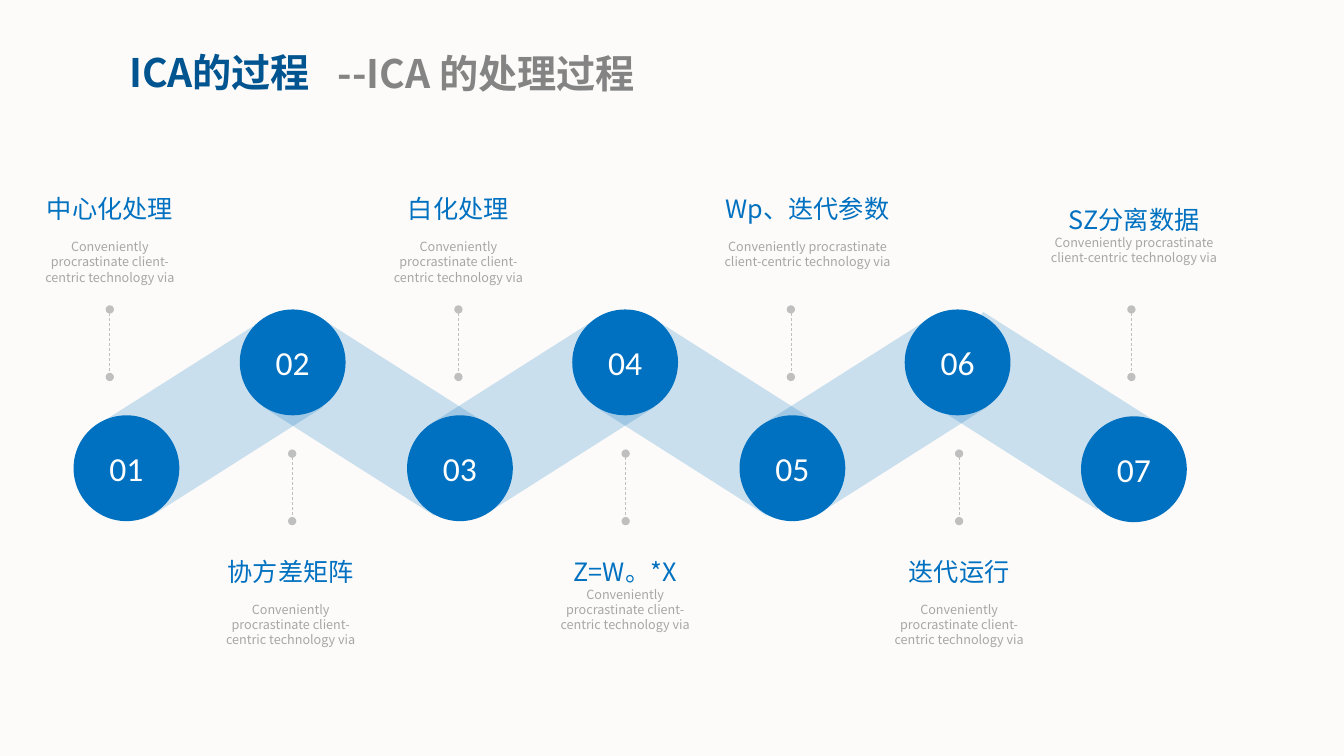
import math

import lxml.etree
import pptx
import pptx.dml.color
import pptx.enum.dml
import pptx.enum.shapes
import pptx.enum.text
import pptx.oxml
import pptx.oxml.ns
import pptx.util

Inches = pptx.util.Inches
Pt = pptx.util.Pt
SHAPES = pptx.enum.shapes.MSO_SHAPE
ALIGN = pptx.enum.text.PP_ALIGN
COLOURS = {"page": "FCFBF9", "blue": "0070C0", "navy": "005490", "grey": "848484",
           "light": "A6A6A6", "line": "BFBFBF", "white": "FFFFFF"}
HEADING_FONT = "Noto Sans CJK SC"
BODY_FONT = "Calibri"
DETAIL = "Conveniently procrastinate client-centric technology via"
DISC = 1.05
BAND_LENGTH = 2.01
BAND_TILT = 57.6
STEPS = [
    {"disc": (0.73, 4.12), "stem": 1.09, "label": (0.27, 1.87, 1.64), "name": "中心化处理", "gap": 11},
    {"disc": (2.38, 3.07), "stem": 2.9, "label": (2.07, 5.47, 1.63), "name": "协方差矩阵", "gap": 11},
    {"disc": (4.04, 4.12), "stem": 4.55, "label": (3.73, 1.87, 1.64), "name": "白化处理", "gap": 11},
    {"disc": (5.68, 3.07), "stem": 6.21, "label": (5.39, 5.47, 1.63), "name": "Z=W。*X", "gap": 0},
    {"disc": (7.34, 4.12), "stem": 7.85, "label": (7.05, 1.87, 1.93), "name": "Wp、迭代参数", "gap": 11},
    {"disc": (8.98, 3.07), "stem": 9.52, "label": (8.7, 5.47, 1.64), "name": "迭代运行", "gap": 11},
    {"disc": (10.73, 4.13), "stem": 11.23, "label": (10.29, 1.98, 1.93), "name": "SZ分离数据", "gap": 0},
]
BANDS = [(1.55, 3.13), (3.22, 3.13), (4.84, 3.13), (6.52, 3.13), (8.14, 3.13), (9.8, 3.07)]


def colour(name):
    """Return the named palette colour."""
    return pptx.dml.color.RGBColor.from_string(COLOURS[name])


def style(para, font, size, shade, bold=False):
    """Set the font of a centred paragraph, East Asian letters included."""
    para.alignment = ALIGN.CENTER
    para.font.name, para.font.size, para.font.bold = font, Pt(size), bold
    para.font.color.rgb = colour(shade)
    properties = para.font._element
    latin = properties.find(pptx.oxml.ns.qn("a:latin"))
    east = pptx.oxml.parse_xml(
        f'<a:ea {pptx.oxml.ns.nsdecls("a")} typeface="{HEADING_FONT}"/>')
    latin.addnext(east)


def paint(shape, shade):
    """Fill a shape flat, without outline or shadow."""
    shape.shadow.inherit = False
    shape.fill.solid()
    shape.fill.fore_color.rgb = colour(shade)
    shape.line.fill.background()


def add_title(page, left, top):
    """Place the page title and the subtitle to its right."""
    title = page.shapes.title
    title.left, title.top = Inches(left), Inches(top)
    title.width, title.height = Inches(2.12), Inches(0.57)
    subtitle = page.shapes.add_textbox(
        Inches(left + 2.08), Inches(top + 0.01), Inches(3.25), Inches(0.57))
    for box, words, shade in ((title, "ICA的过程", "navy"), (subtitle, "--ICA 的处理过程", "grey")):
        frame = box.text_frame
        frame.text = words
        frame.word_wrap = False
        frame.auto_size = pptx.enum.text.MSO_AUTO_SIZE.NONE
        frame.vertical_anchor = pptx.enum.text.MSO_ANCHOR.TOP
        style(frame.paragraphs[0], HEADING_FONT, 28, shade, True)


def add_band(page, left, top, rising):
    """Place one translucent band that links two discs."""
    band = page.shapes.add_shape(
        SHAPES.RECTANGLE, Inches(left), Inches(top), Inches(DISC), Inches(BAND_LENGTH))
    band.rotation = BAND_TILT if rising else 360 - BAND_TILT
    paint(band, "blue")
    shade = band.fill._xPr.find(".//" + pptx.oxml.ns.qn("a:srgbClr"))
    lxml.etree.SubElement(shade, pptx.oxml.ns.qn("a:alpha"), val="20000")


def add_disc(page, left, top, number):
    """Place one numbered disc."""
    disc = page.shapes.add_shape(
        SHAPES.OVAL, Inches(left), Inches(top), Inches(DISC), Inches(DISC))
    paint(disc, "blue")
    disc.text_frame.text = f"{number:02d}"
    style(disc.text_frame.paragraphs[0], BODY_FONT, 24, "white")


def add_stem(page, left, top):
    """Place one dashed upright line with round ends."""
    stem = page.shapes.add_connector(
        pptx.enum.shapes.MSO_CONNECTOR.STRAIGHT,
        Inches(left), Inches(top), Inches(left), Inches(top + 0.67))
    stem.line.color.rgb = colour("line")
    stem.line.width = Pt(0.5)
    stem.line.dash_style = pptx.enum.dml.MSO_LINE.DASH
    outline = stem.line._get_or_add_ln()
    for end in ("a:headEnd", "a:tailEnd"):
        lxml.etree.SubElement(outline, pptx.oxml.ns.qn(end), type="oval")
    lxml.etree.SubElement(stem._element.spPr, pptx.oxml.ns.qn("a:effectLst"))


def add_label(page, left, top, width, name, gap):
    """Place a step name with its detail below."""
    box = page.shapes.add_textbox(Inches(left), Inches(top), Inches(width), Inches(1))
    frame = box.text_frame
    frame.word_wrap = True
    frame.text = name
    style(frame.paragraphs[0], HEADING_FONT, 18, "blue")
    detail = frame.add_paragraph()
    detail.text = DETAIL
    detail.space_before = Pt(gap)
    style(detail, HEADING_FONT, 9, "light")


def add_process(page):
    """Place the zigzag of bands, discs, stems and labels."""
    for index, (left, top) in enumerate(BANDS):
        add_band(page, left, top, index % 2 == 0)
    for index, step in enumerate(STEPS):
        add_disc(page, *step["disc"], index + 1)
        add_stem(page, step["stem"], 4.5 if index % 2 else 3.07)
        add_label(page, *step["label"], step["name"], step["gap"])


def add_down_button(page, left, top, size):
    """Draw a ring with a downward arrow inside it."""
    centre = size / 2

    def circle(radius):
        turns = [math.tau * step / 48 for step in range(48)]
        return [(left + centre + radius * math.cos(turn),
                 top + centre + radius * math.sin(turn)) for turn in turns]

    half = [(0.01, -0.06), (0.01, 0.03), (0.04, 0), (0.05, 0.01), (0, 0.06)]
    outline = half + [(-across, down) for across, down in reversed(half[:-1])]
    arrow = [(left + centre + across, top + centre + down) for across, down in outline]
    contours = [circle(centre), circle(centre - 0.02)[::-1], arrow]
    builder = page.shapes.build_freeform(*contours[0][0], scale=Inches(1))
    for contour in contours:
        if contour is not contours[0]:
            builder.move_to(*contour[0])
        builder.add_line_segments(contour[1:], close=True)
    paint(builder.convert_to_shape(), "light")


def main():
    """Build the deck and save it."""
    deck = pptx.Presentation()
    deck.slide_width, deck.slide_height = Inches(13.34), Inches(7.5)
    page = deck.slides.add_slide(deck.slide_layouts[5])
    page.background.fill.solid()
    page.background.fill.fore_color.rgb = colour("page")
    add_down_button(page, 6.54, 7.09, 0.25)
    add_process(page)
    add_title(page, 1.12, 0.43)
    deck.save("out.pptx")


if __name__ == "__main__":
    main()
